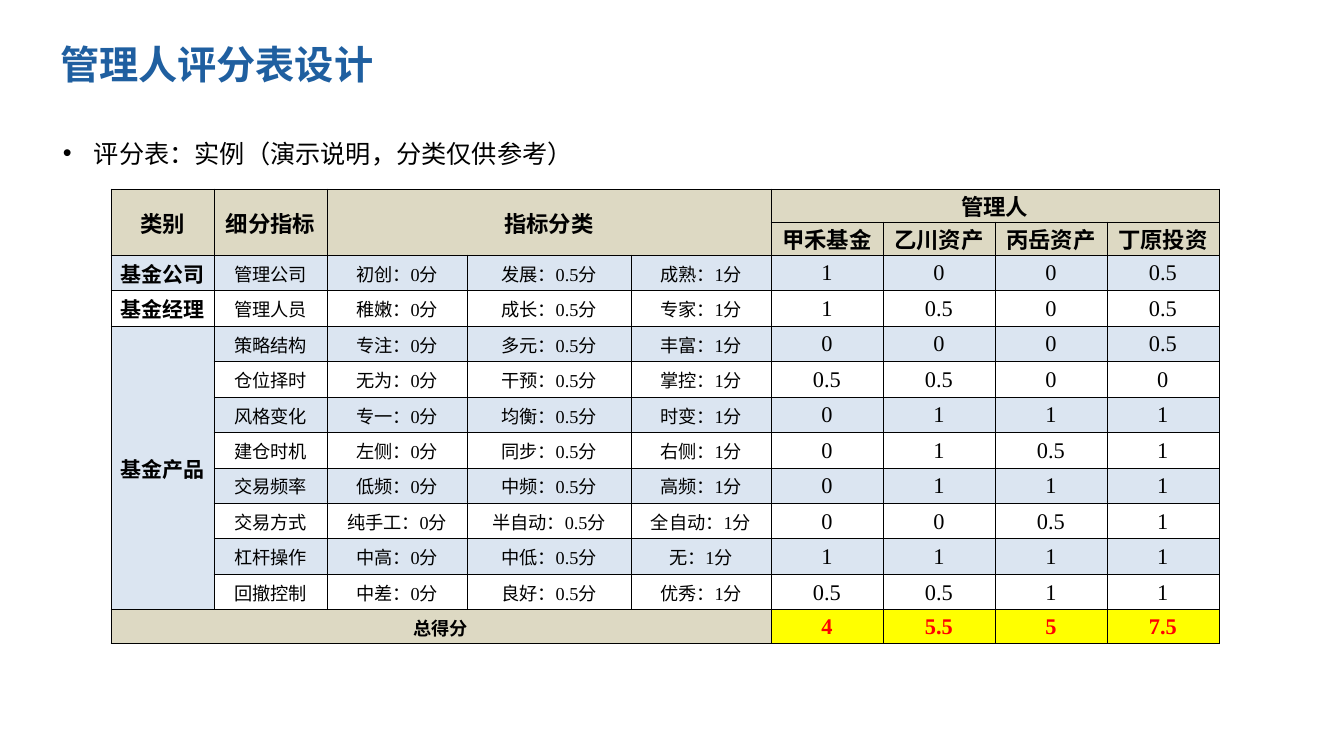
from lxml.etree import SubElement
from pptx import Presentation
from pptx.dml.color import RGBColor
from pptx.enum.text import MSO_ANCHOR, MSO_AUTO_SIZE, PP_ALIGN
from pptx.oxml import parse_xml
from pptx.oxml.ns import nsdecls, qn
from pptx.util import Pt

MIDDLE, CENTER, LEFT = MSO_ANCHOR.MIDDLE, PP_ALIGN.CENTER, PP_ALIGN.LEFT
NO_FIT = MSO_AUTO_SIZE.NONE
SANS, SERIF = "Noto Sans CJK SC", "Times New Roman"
BLUE = RGBColor(0x1F, 0x5F, 0xA0)
BLACK = RGBColor(0, 0, 0)
RED = RGBColor(0xFF, 0, 0)
YELLOW = RGBColor(0xFF, 0xFF, 0)
TAN = RGBColor(0xDD, 0xD9, 0xC3)
PALE = RGBColor(0xDB, 0xE5, 0xF1)
WHITE = RGBColor(0xFF, 0xFF, 0xFF)

TITLE = "管理人评分表设计"
BULLET = "评分表：实例（演示说明，分类仅供参考）"
HEADS = [(0, "类别"), (1, "细分指标"), (2, "指标分类"), (5, "管理人")]
FUNDS = ["甲禾基金", "乙川资产", "丙岳资产", "丁原投资"]
GROUPS = [(2, "基金公司"), (3, "基金经理"), (4, "基金产品")]
POINTS = ["0", "0.5", "1"]
RATINGS = [
    ("管理公司", ["初创", "发展", "成熟"], ["1", "0", "0", "0.5"]),
    ("管理人员", ["稚嫩", "成长", "专家"], ["1", "0.5", "0", "0.5"]),
    ("策略结构", ["专注", "多元", "丰富"], ["0", "0", "0", "0.5"]),
    ("仓位择时", ["无为", "干预", "掌控"], ["0.5", "0.5", "0", "0"]),
    ("风格变化", ["专一", "均衡", "时变"], ["0", "1", "1", "1"]),
    ("建仓时机", ["左侧", "同步", "右侧"], ["0", "1", "0.5", "1"]),
    ("交易频率", ["低频", "中频", "高频"], ["0", "1", "1", "1"]),
    ("交易方式", ["纯手工", "半自动", "全自动"], ["0", "0", "0.5", "1"]),
    ("杠杆操作", ["中高", "中低", "无"], ["1", "1", "1", "1"]),
    ("回撤控制", ["中差", "良好", "优秀"], ["0.5", "0.5", "1", "1"]),
]
TOTAL, SUMS = "总得分", ["4", "5.5", "5", "7.5"]

WIDTHS = [103, 113, 140, 164, 140] + [112] * 4
HEAD_H, BODY_H, SUM_H = 33, 355, 34
LAST = len(RATINGS) + 2
MERGES = [(0, 0, 1, 0), (0, 1, 1, 1), (0, 2, 1, 4), (0, 5, 0, 8),
          (4, 0, LAST - 1, 0), (LAST, 0, LAST, 4)]


def px(n):
    return round(n * 914400 / 100.8)


def style(para, size, face=SANS, bold=False, color=BLACK, align=CENTER):
    para.alignment = align
    font = para.font
    font.size, font.name, font.bold = Pt(size), face, bold
    font.color.rgb = color
    east = SubElement(para._p.pPr.find(qn("a:defRPr")), qn("a:ea"))
    east.set("typeface", SANS)


def place(shape, left, top, width, height):
    shape.left, shape.top = px(left), px(top)
    shape.width, shape.height = px(width), px(height)


def frame(cell, fill):
    """Fill a cell and give it insets and thin black borders."""
    cell.fill.solid()
    cell.fill.fore_color.rgb = fill
    cell.vertical_anchor = MIDDLE
    cell.margin_left = cell.margin_right = cell.margin_top = px(1)
    cell.margin_bottom = 0
    props = cell._tc.get_or_add_tcPr()
    for i, side in enumerate("LRTB"):
        props.insert(i, parse_xml(
            f'<a:ln{side} {nsdecls("a")} w="6350"><a:solidFill>'
            f'<a:srgbClr val="{BLACK}"/></a:solidFill></a:ln{side}>'))


def write(row, col, text, size, **look):
    para = grid.cell(row, col).text_frame.paragraphs[0]
    para.add_run().text = text
    style(para, size, **look)


def grade(row, col, label, points):
    para = grid.cell(row, col).text_frame.paragraphs[0]
    for text in (label + "：", points, "分"):
        run = para.add_run()
        run.text = text
        if text == points:
            run.font.name = SERIF
    style(para, 13)


deck = Presentation()
deck.slide_width, deck.slide_height = px(1344), px(756)
slide = deck.slides.add_slide(deck.slide_layouts[5])

title = slide.shapes.title
place(title, 50, 19, 1245, 95)
title.text_frame.text = TITLE
title.text_frame.auto_size = NO_FIT
title.text_frame.vertical_anchor = MIDDLE
head = title.text_frame.paragraphs[0]
head.line_spacing = 0.9
style(head, 28, SERIF, True, BLUE, LEFT)

note = slide.shapes.add_textbox(px(53), px(118), px(1244), px(50))
note.text_frame.word_wrap = True
line = note.text_frame.paragraphs[0]
line.text = BULLET
line.line_spacing = 1.5
props = line._p.get_or_add_pPr()
props.set("marL", str(px(31)))
props.set("indent", str(-px(31)))
SubElement(props, qn("a:buFont")).set("typeface", "Arial")
SubElement(props, qn("a:buChar")).set("char", "•")
style(line, 18, SERIF, align=LEFT)

table = slide.shapes.add_table(
    LAST + 1, len(WIDTHS), px(111), px(189), px(sum(WIDTHS)),
    px(2 * HEAD_H + BODY_H + SUM_H))
grid = table.table
grid.first_row = grid.horz_banding = False
for column, width in zip(grid.columns, WIDTHS):
    column.width = px(width)
heights = [HEAD_H] * 2 + [BODY_H / len(RATINGS)] * len(RATINGS) + [SUM_H]
for r, height in enumerate(heights):
    grid.rows[r].height = px(height)
    for c in range(len(WIDTHS)):
        if r == LAST:
            fill = TAN if c < 5 else YELLOW
        elif r < 2:
            fill = TAN
        else:
            fill = WHITE if r % 2 else PALE
        frame(grid.cell(r, c), fill)
for top, left, bottom, right in MERGES:
    grid.cell(top, left).merge(grid.cell(bottom, right))

for c, text in HEADS:
    write(0, c, text, 16, bold=True)
for c, text in enumerate(FUNDS, 5):
    write(1, c, text, 16, bold=True)
for r, text in GROUPS:
    write(r, 0, text, 15, bold=True)
for r, (item, labels, scores) in enumerate(RATINGS, 2):
    write(r, 1, item, 13)
    for c, (label, points) in enumerate(zip(labels, POINTS), 2):
        grade(r, c, label, points)
    for c, score in enumerate(scores, 5):
        write(r, c, score, 16, face=SERIF)
write(LAST, 0, TOTAL, 13, bold=True)
for c, score in enumerate(SUMS, 5):
    write(LAST, c, score, 16, face=SERIF, bold=True, color=RED)

deck.save("out.pptx")
